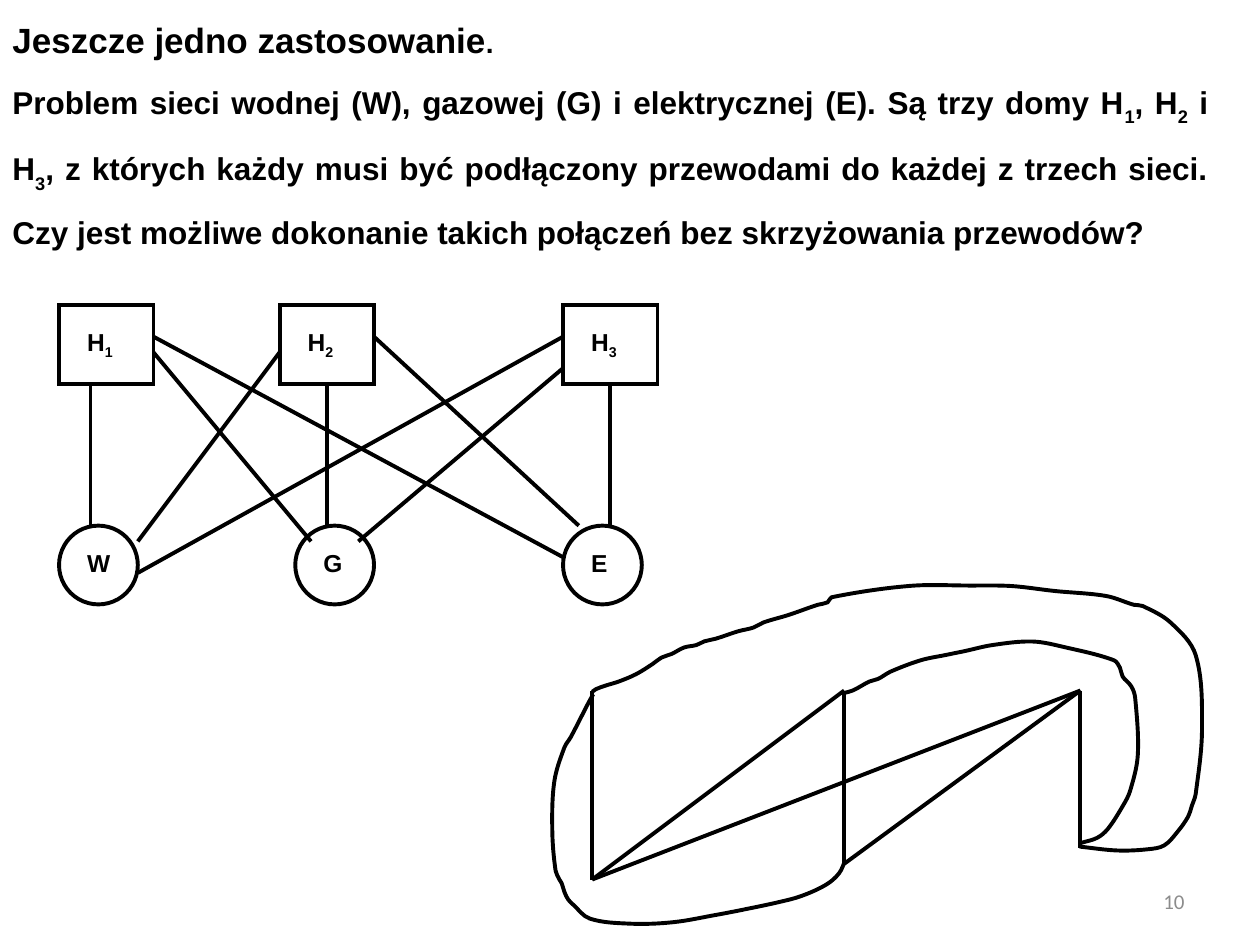
"""Build a slide on the three houses and three utilities problem."""
from math import dist

from lxml.etree import SubElement
from pptx import Presentation
from pptx.dml.color import RGBColor
from pptx.enum.shapes import MSO_CONNECTOR, MSO_SHAPE
from pptx.enum.text import MSO_ANCHOR, PP_ALIGN
from pptx.oxml.ns import qn
from pptx.util import Pt

COLORS = {"ink": "000000", "paper": "FFFFFF", "number": "8C8C8C"}
UNIT, LEFT, TOP = 9, 33.75, 174.4
STROKE = 2.25

TITLE = [("Jeszcze jedno zastosowanie", 20), (".", 16)]
PROBLEM = [
    ("Problem sieci wodnej (W), gazowej (G) i elektrycznej (E). Są trzy domy H", 0),
    ("1", -30), (", H", 0), ("2", -30), (" i H", 0), ("3", -30),
    (", z których każdy musi być podłączony przewodami do każdej z trzech sieci. "
     "Czy jest możliwe dokonanie takich połączeń bez skrzyżowania przewodów?", 0),
]
HOUSES = [(0, "1"), (14, "2"), (32, "3")]
UTILITIES = [(0, "W"), (15, "G"), (32, "E")]
PIPES = [
    ((2, 5), (2, 14)), ((14, 3), (5, 15)), ((6, 3), (16, 15)),
    ((6, 2), (32, 16)), ((32, 2), (5, 17)), ((17, 5), (17, 14)),
    ((32, 4), (19, 15)), ((20, 2), (33, 14)), ((35, 5), (35, 14)),
]
HOUSE_NODES = [(338.4, 394.6), (482.4, 394.6), (617.4, 394.6)]
UTILITY_NODES = [(338.4, 502.6), (482.4, 493.6), (617.4, 484.6)]
STRAIGHT_EDGES = [(0, 0), (1, 1), (2, 2), (1, 0), (2, 0), (2, 1)]
INNER_LOOP = [
    (617.8, 481.7), (627, 478.8), (633, 473.8), (641.5, 460.8), (645.8, 452),
    (650.2, 431.3), (648.7, 398.9), (646.6, 392.4), (641.5, 386.6), (640, 381.6),
    (636.5, 377.3), (609, 370), (590, 366.6), (567.4, 368.6), (550.8, 372.2),
    (540, 374.4), (526.3, 377.3), (509, 383.8), (501.8, 388), (496.8, 389.5),
    (487.4, 394.6), (482.4, 396),
]
OUTER_LOOP = [
    (617, 483.8), (638.6, 486), (655.9, 485.3), (665.3, 483.1), (673, 475.2),
    (679, 466.6), (681, 460.8), (683.3, 453.6), (686.9, 416.2), (683.3, 374.4),
    (668.9, 355.7), (653, 346.3), (648, 345.6), (632.2, 340.6), (602.6, 337.7),
    (578.2, 334.9), (555, 334.6), (520, 334.8), (475.2, 341.3), (473, 344.2),
    (467.3, 345.6), (450.7, 351.4), (436.3, 355.7), (430.6, 358.6), (422, 360.7),
    (409, 365), (402.5, 366.5), (398, 368.6), (391, 370), (383.8, 373.7),
    (378, 375.8), (373, 379.4), (363.6, 385.2), (353.5, 389.5), (346.3, 391.7),
    (340.6, 393.8), (338.4, 395.3),
]
LOWER_LOOP = [
    (483, 491.8), (479.5, 499), (472.3, 505.4), (458, 512), (445, 515.5),
    (424.8, 519.8), (409.7, 522.7), (384.5, 527), (360, 527.8), (337, 524.9),
    (327.6, 517), (324.7, 514), (322.6, 509.8), (321, 504.7), (319.7, 502.6),
    (317.5, 497.5), (315.6, 474), (316.8, 446.4), (322.6, 427), (326.2, 421.2),
    (336.2, 401.8), (339, 396.7),
]


def color(name):
    """Return a named colour."""
    return RGBColor.from_string(COLORS[name])


def style_font(font, size, ink="ink", name="Arial", bold=True):
    """Set the look of a font."""
    font.name, font.size, font.bold = name, Pt(size), bold
    font.color.rgb = color(ink)


def add_run(p, text, baseline=0):
    """Append a run, lowered when a baseline is given."""
    r = p.add_run()
    r.text = text
    if baseline:
        r._r.get_or_add_rPr().set("baseline", str(baseline * 1000))
    return r


def add_textbox(s, x, y, w, h):
    """Add a wrapping, vertically centred text box and return its frame."""
    tf = s.add_textbox(Pt(x), Pt(y), Pt(w), Pt(h)).text_frame
    tf.word_wrap = True
    tf.vertical_anchor = MSO_ANCHOR.MIDDLE
    return tf


def add_statement(s):
    """Add the heading and the problem statement."""
    tf = add_textbox(s, 0, 0, 697.5, 141.75)
    title, problem = tf.paragraphs[0], tf.add_paragraph()
    for p in (title, problem):
        p.alignment, p.line_spacing = PP_ALIGN.JUSTIFY, 1.5
    for text, size in TITLE:
        style_font(add_run(title, text).font, size)
    style_font(problem.font, 18)
    for text, baseline in PROBLEM:
        add_run(problem, text, baseline)


def draw_outline(sp):
    """Give a shape or line the black stroke."""
    sp.line.color.rgb, sp.line.width = color("ink"), Pt(STROKE)


def add_box(s, kind, col, row, w, h, outlined=True):
    """Add a white shape placed on the diagram grid."""
    sp = s.add_shape(kind, Pt(LEFT + col * UNIT), Pt(TOP + row * UNIT),
                     Pt(w * UNIT), Pt(h * UNIT))
    sp.shadow.inherit = False
    sp.fill.solid()
    sp.fill.fore_color.rgb = color("paper")
    if outlined:
        draw_outline(sp)
        SubElement(sp._element.spPr.find(qn("a:ln")), qn("a:miter"), lim="800000")
    else:
        sp.line.fill.background()
    return sp


def add_label(s, col, row, w, letter, index=""):
    """Add a bold label with an optional lowered index."""
    tf = add_box(s, MSO_SHAPE.RECTANGLE, col, row, w, 3, False).text_frame
    tf.word_wrap, tf.vertical_anchor = True, MSO_ANCHOR.TOP
    p = tf.paragraphs[0]
    p.alignment = PP_ALIGN.LEFT
    style_font(p.font, 14)
    add_run(p, letter)
    if index:
        add_run(p, index, -25)


def add_line(s, start, end):
    """Add a straight black line between two points."""
    line = s.add_connector(MSO_CONNECTOR.STRAIGHT, *map(Pt, start + end))
    draw_outline(line)
    SubElement(line._element.spPr, qn("a:effectLst"))


def bezier_handles(points):
    """Return the two smooth control points of each curve segment."""
    ends = [points[0], *points, points[-1]]
    slopes = [((c[0] - a[0]) / dist(a, c), (c[1] - a[1]) / dist(a, c))
              for a, c in zip(ends, ends[2:])]
    handles = []
    for a, b, m, n in zip(points, points[1:], slopes, slopes[1:]):
        reach = dist(a, b) / 3
        handles.append([(a[0] + reach * m[0], a[1] + reach * m[1]),
                        (b[0] - reach * n[0], b[1] - reach * n[1])])
    return handles


def add_curve(s, points):
    """Add an open, unfilled curve of Bézier segments."""
    start, *rest = [(Pt(x), Pt(y)) for x, y in points]
    builder = s.build_freeform(*start)
    builder.add_line_segments(rest, close=False)
    sp = builder.convert_to_shape()
    left, top = min(x for x, _ in points), min(y for _, y in points)
    segments = list(sp._element.iter(qn("a:lnTo")))
    for segment, handles in zip(segments, bezier_handles(points)):
        segment.tag = qn("a:cubicBezTo")
        end = segment[0]
        for x, y in handles:
            SubElement(segment, qn("a:pt"), x=str(Pt(x - left)), y=str(Pt(y - top)))
        segment.append(end)
    sp.shadow.inherit = False
    sp.fill.background()
    draw_outline(sp)


def add_network(s):
    """Add the houses, the utilities and the crossing pipes."""
    for col, _ in HOUSES:
        add_box(s, MSO_SHAPE.RECTANGLE, col, 0, 6, 5)
    for col, _ in UTILITIES:
        add_box(s, MSO_SHAPE.OVAL, col, 14, 5, 5)
    for col, index in HOUSES:
        add_label(s, col + 1, 1, 4, "H", index)
    for col, letter in UTILITIES:
        add_label(s, col + 1, 15, 3, letter)
    for pipe in PIPES:
        add_line(s, *[(LEFT + x * UNIT, TOP + y * UNIT) for x, y in pipe])


def add_redrawn_network(s):
    """Add the network redrawn with three curved pipes."""
    for house, utility in STRAIGHT_EDGES:
        add_line(s, HOUSE_NODES[house], UTILITY_NODES[utility])
    for loop in (INNER_LOOP, OUTER_LOOP, LOWER_LOOP):
        add_curve(s, loop)


def main():
    """Build and save the presentation."""
    prs = Presentation()
    prs.slide_width, prs.slide_height = Pt(720), Pt(540)
    s = prs.slides.add_slide(prs.slide_layouts[6]).shapes
    add_statement(s)
    add_network(s.add_group_shape().shapes)
    add_redrawn_network(s.add_group_shape().shapes)
    number = add_textbox(s, 516, 500.5, 168, 28.75).paragraphs[0]
    number.alignment = PP_ALIGN.RIGHT
    style_font(number.font, 12, "number", "Calibri", None)
    add_run(number, "10")
    prs.save("out.pptx")


if __name__ == "__main__":
    main()
